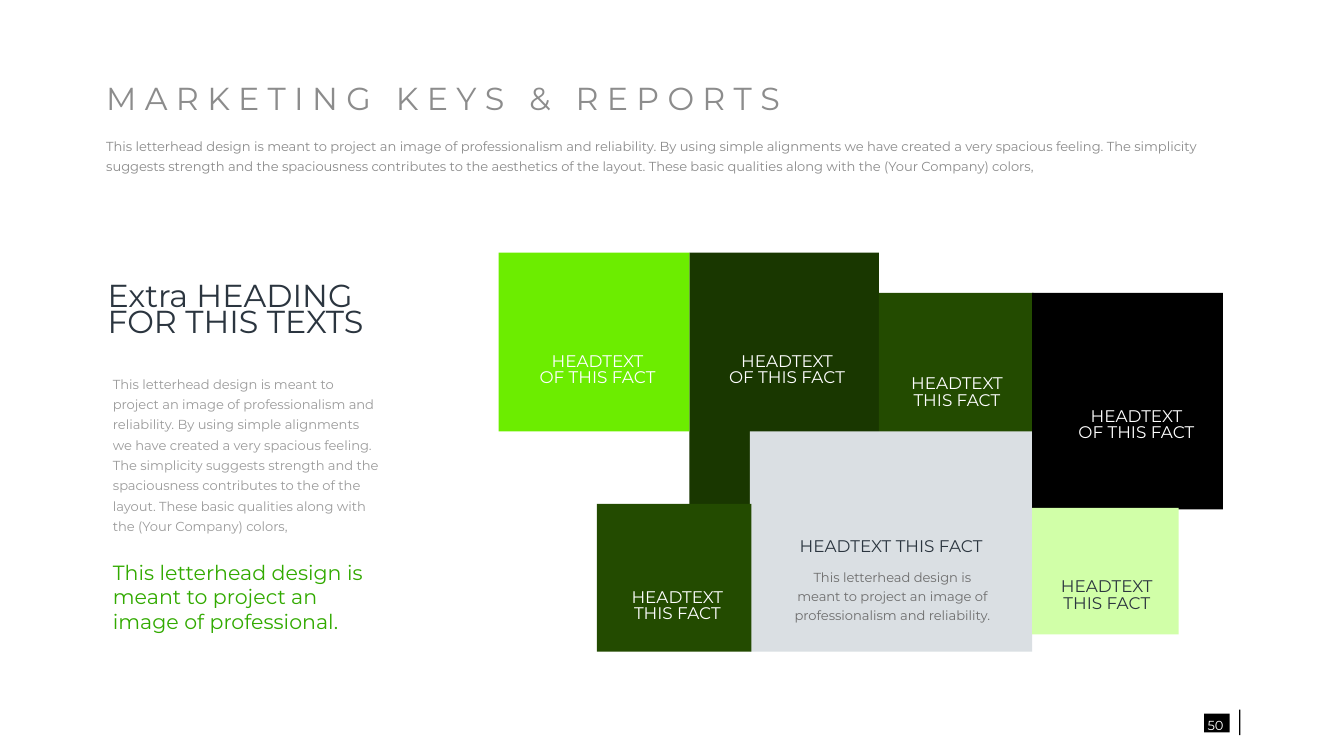
from pptx import Presentation
from pptx.dml.color import RGBColor
from pptx.enum.shapes import MSO_SHAPE
from pptx.enum.text import MSO_ANCHOR, PP_ALIGN
from pptx.util import Inches, Pt

RECTANGLE = MSO_SHAPE.RECTANGLE
MIDDLE = MSO_ANCHOR.MIDDLE
LEFT, CENTER = PP_ALIGN.LEFT, PP_ALIGN.CENTER

FONT = "Montserrat"
WHITE = RGBColor(0xFF, 0xFF, 0xFF)
BLACK = RGBColor(0x00, 0x00, 0x00)
TITLE_GRAY = RGBColor(0x8C, 0x8C, 0x8C)
BODY_GRAY = RGBColor(0x9B, 0x9B, 0x9B)
FACT_GRAY = RGBColor(0x6E, 0x6E, 0x6E)
PALE_GRAY = RGBColor(0xDA, 0xDF, 0xE3)
NAVY = RGBColor(0x2B, 0x35, 0x3F)
DEEP_GREEN = RGBColor(0x19, 0x37, 0x00)
FOREST = RGBColor(0x23, 0x4B, 0x00)
LIME = RGBColor(0x6C, 0xED, 0x00)
PALE_LIME = RGBColor(0xD1, 0xFF, 0xA8)
GREEN = RGBColor(0x32, 0xAA, 0x00)

prs = Presentation()
prs.slide_width = Inches(10)
prs.slide_height = Inches(10) * 9 // 16
slide = prs.slides.add_slide(prs.slide_layouts[6])


def add_block(left, top, width, height, color):
    block = slide.shapes.add_shape(
        RECTANGLE, Inches(left), Inches(top), Inches(width), Inches(height))
    block.shadow.inherit = False
    block.fill.solid()
    block.fill.fore_color.rgb = color
    block.line.fill.background()


def add_text(left, top, width, height, lines, size, color, spacing, align=LEFT):
    box = slide.shapes.add_textbox(
        Inches(left), Inches(top), Inches(width), Inches(height))
    frame = box.text_frame
    frame.word_wrap = True
    frame.vertical_anchor = MIDDLE
    frame.margin_left = frame.margin_right = 0
    frame.margin_top = frame.margin_bottom = 0
    for i, line in enumerate(lines):
        paragraph = frame.add_paragraph() if i else frame.paragraphs[0]
        paragraph.alignment = align
        paragraph.line_spacing = spacing
        run = paragraph.add_run()
        run.text = line
        run.font.name = FONT
        run.font.size = Pt(size)
        run.font.color.rgb = color


opening = ("This letterhead design is meant to project an image of "
           "professionalism and reliability.")
story = (opening + " By using simple alignments we have created a very "
         "spacious feeling. The simplicity suggests strength and the "
         "spaciousness contributes to the {} the layout. These basic "
         "qualities along with the (Your Company) colors,")

add_text(0.79, 0.6, 5.15, 0.33, [" ".join("MARKETING KEYS & REPORTS")],
         17, TITLE_GRAY, 0.7)
add_text(0.79, 0.99, 8.31, 0.31, [story.format("aesthetics of")],
         7, TITLE_GRAY, 1.3)

mosaic = [
    (5.13, 1.88, 1.41, 1.9, DEEP_GREEN),
    (6.54, 2.18, 1.15, 1.04, FOREST),
    (5.58, 3.21, 2.1, 1.64, PALE_GRAY),
    (7.68, 2.18, 1.42, 1.61, BLACK),
    (4.44, 3.75, 1.15, 1.1, FOREST),
    (7.68, 3.78, 1.09, 0.94, PALE_LIME),
    (3.71, 1.88, 1.42, 1.33, LIME),
]
for left, top, width, height, color in mosaic:
    add_block(left, top, width, height, color)

add_text(0.84, 2.77, 1.98, 1.2, [story.format("of")], 7, BODY_GRAY, 1.3)
add_text(0.8, 2.06, 1.98, 0.53, ["Extra HEADING FOR THIS TEXTS"],
         17, NAVY, 0.7)
add_text(0.84, 4.13, 1.98, 0.62,
         ["This letterhead design is meant to project an image of professional."],
         11, GREEN, 1.0)

facts = [
    (3.9, 2.54, 1.09, 0.44, ["HEADTEXT", "OF THIS FACT"], WHITE),
    (5.31, 2.54, 1.09, 0.44, ["HEADTEXT", "OF THIS FACT"], WHITE),
    (6.69, 2.75, 0.86, 0.35, ["HEADTEXT", "THIS FACT"], WHITE),
    (7.96, 2.95, 0.99, 0.44, ["HEADTEXT", "OF THIS FACT"], WHITE),
    (7.85, 4.24, 0.77, 0.39, ["HEADTEXT", "THIS FACT"], NAVY),
    (4.61, 4.34, 0.86, 0.35, ["HEADTEXT", "THIS FACT"], WHITE),
    (5.88, 3.92, 1.5, 0.31, ["HEADTEXT THIS FACT"], NAVY),
]
for left, top, width, height, lines, color in facts:
    add_text(left, top, width, height, lines, 9, color, 0.8, CENTER)
add_text(5.89, 4.21, 1.5, 0.43, [opening], 7, FACT_GRAY, 1.2, CENTER)

add_block(8.96, 5.31, 0.19, 0.14, BLACK)
add_text(8.93, 5.3, 0.23, 0.16, ["50"], 7, WHITE, 1.3, CENTER)
add_block(9.22, 5.28, 0.01, 0.19, BLACK)

prs.save("out.pptx")
